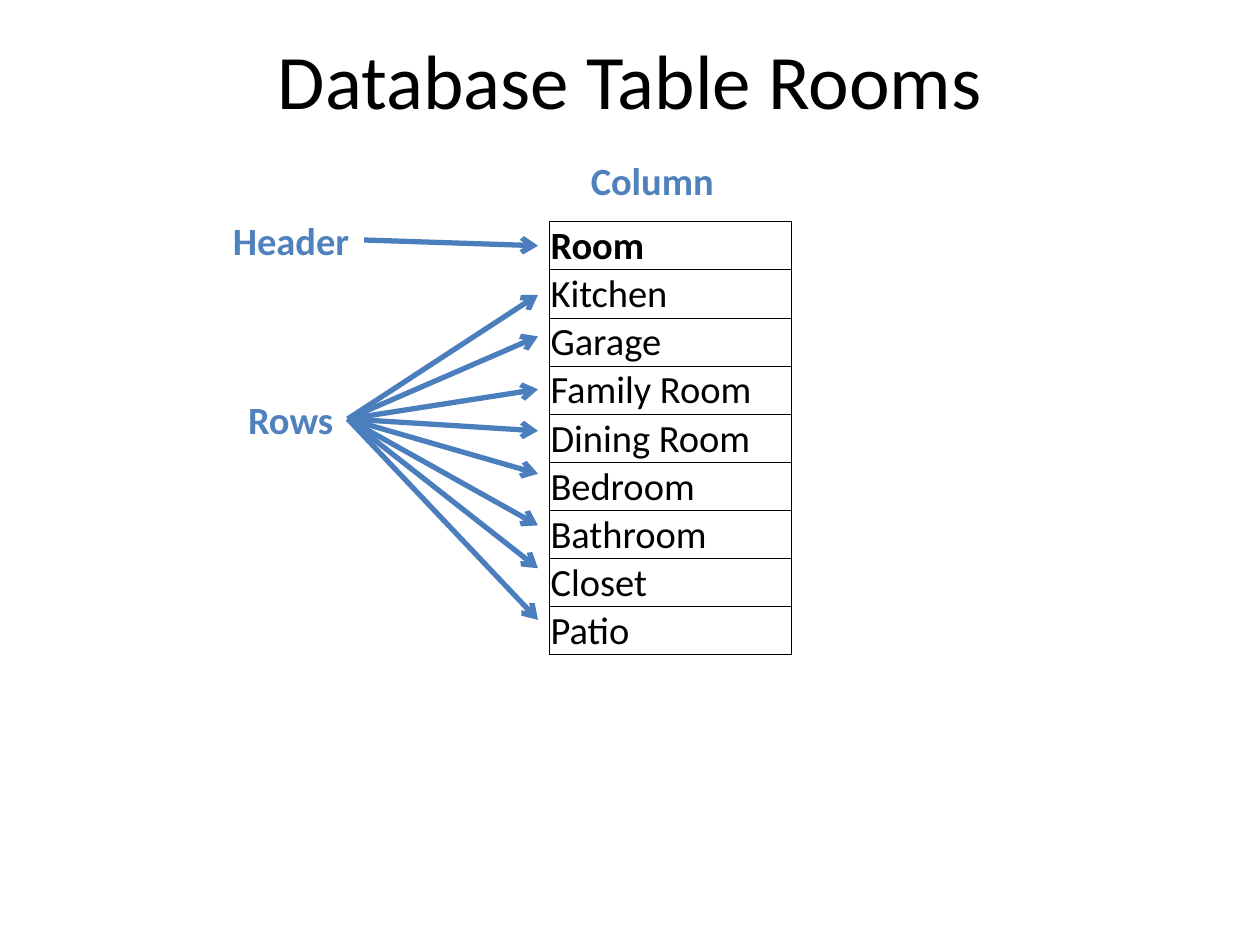
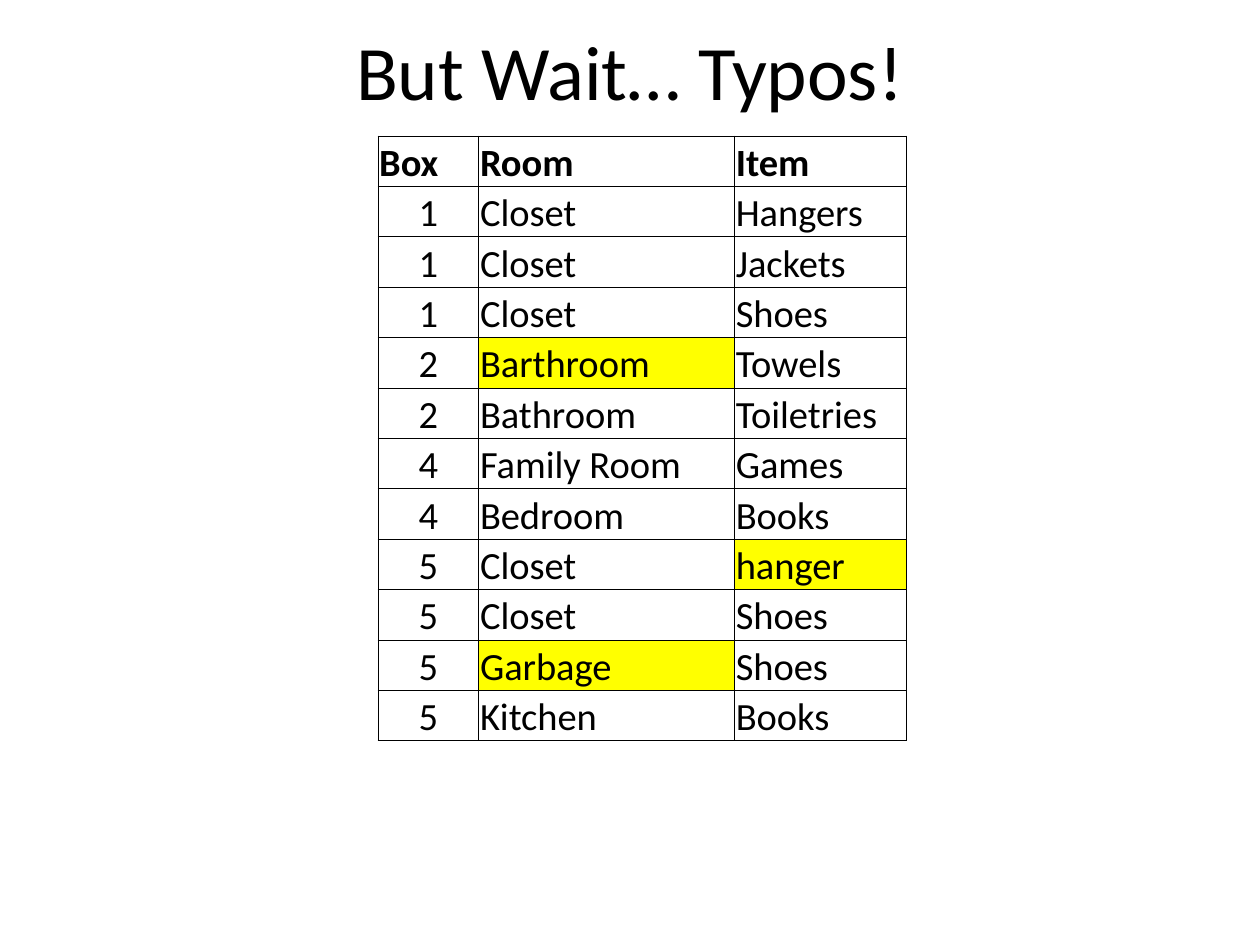
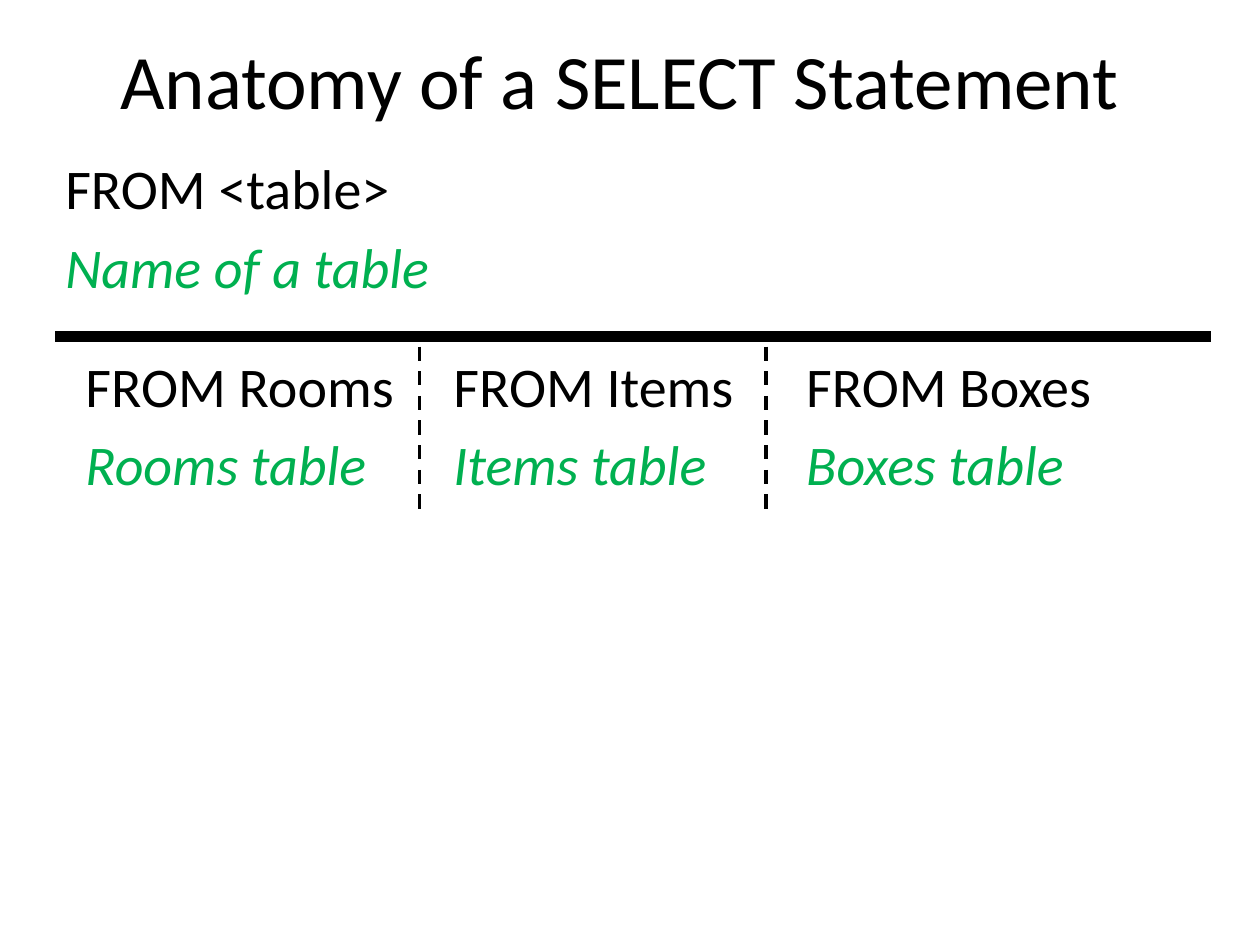
from dataclasses import dataclass

import pptx
import pptx.dml.color
import pptx.enum.dml
import pptx.enum.shapes
import pptx.enum.text
import pptx.oxml
import pptx.oxml.ns
import pptx.util
from pptx.util import Inches, Pt

DRAWING_NS = pptx.oxml.ns.nsdecls("a")
RIGHT_SIDE = 3


@dataclass(frozen=True)
class Theme:
    font: str = "Calibri"
    ink: str = "000000"
    paper: str = "FFFFFF"
    label: str = "4F81BD"
    arrow: str = "4B7EBC"
    explanation: str = "00B050"
    typo: str = "FFFF00"
    title_size: float = 44
    statement_size: float = 32
    table_size: float = 22
    paragraph_gap: float = 6.4
    border_width: float = 0.5
    arrow_width: float = 3


def rgb(color):
    return pptx.dml.color.RGBColor.from_string(color)


class Deck:
    def __init__(self, theme):
        self.theme = theme
        self.presentation = pptx.Presentation()
        self.presentation.slide_width = Inches(10)
        self.presentation.slide_height = Inches(7.5)
        self.slide = None

    def style(self, paragraph, size, color=None, bold=False, italic=False):
        for run in paragraph.runs:
            font = run.font
            font.name = self.theme.font
            font.size = Pt(size)
            font.bold, font.italic = bold, italic
            font.color.rgb = rgb(color or self.theme.ink)

    def new_slide(self, heading, left=0.5, top=0, height=1.25):
        title_only = self.presentation.slide_layouts[5]
        self.slide = self.presentation.slides.add_slide(title_only)
        title = self.slide.shapes.title
        title.left, title.top = Inches(left), Inches(top)
        title.width, title.height = Inches(9), Inches(height)
        frame = title.text_frame
        frame.text = heading
        frame.vertical_anchor = pptx.enum.text.MSO_ANCHOR.MIDDLE
        frame.paragraphs[0].alignment = pptx.enum.text.PP_ALIGN.CENTER
        self.style(frame.paragraphs[0], self.theme.title_size)

    def text_box(self, left, top, width, height, text, wrap=True):
        box = self.slide.shapes.add_textbox(
            Inches(left), Inches(top), Inches(width), Inches(height))
        box.text_frame.word_wrap = wrap
        box.text_frame.text = text
        return box

    def label(self, text, left, top, width):
        box = self.text_box(left, top, width, 0.47, text, wrap=False)
        self.style(box.text_frame.paragraphs[0], self.theme.table_size,
                   self.theme.label, bold=True)
        return box

    def statement(self, code, explanation, left, top, width):
        box = self.text_box(left, top, width, 1.42, f"{code}\n{explanation}")
        code_line, explanation_line = box.text_frame.paragraphs
        self.style(code_line, self.theme.statement_size)
        self.style(explanation_line, self.theme.statement_size,
                   self.theme.explanation, italic=True)
        explanation_line.space_before = Pt(self.theme.paragraph_gap)

    def line(self, start, end, color, width, dashed=False):
        connector = self.slide.shapes.add_connector(
            pptx.enum.shapes.MSO_CONNECTOR.STRAIGHT,
            *(Inches(length) for length in (*start, *end)))
        connector.line.color.rgb = rgb(color)
        connector.line.width = Pt(width)
        if dashed:
            connector.line.dash_style = pptx.enum.dml.MSO_LINE.DASH
        connector._element.spPr.append(
            pptx.oxml.parse_xml(f"<a:effectLst {DRAWING_NS}/>"))
        return connector

    def arrow_from(self, source, end):
        """Draw an arrow from the right side of a label to a point."""
        arrow = self.line((0, 0), end, self.theme.arrow, self.theme.arrow_width)
        arrow.begin_connect(source, RIGHT_SIDE)
        arrow.line._get_or_add_ln().append(
            pptx.oxml.parse_xml(f'<a:tailEnd {DRAWING_NS} type="arrow"/>'))

    def border(self, cell):
        properties = cell._tc.get_or_add_tcPr()
        for side in ("lnL", "lnR", "lnT", "lnB"):
            properties.append(pptx.oxml.parse_xml(
                f'<a:{side} {DRAWING_NS} w="{Pt(self.theme.border_width)}">'
                f'<a:solidFill><a:srgbClr val="{self.theme.ink}"/></a:solidFill>'
                f'</a:{side}>'))

    def table(self, left, top, column_widths, row_height, rows,
              typos=(), centered_columns=()):
        """Draw a ruled table whose first row is its header."""
        grid = self.slide.shapes.add_table(
            len(rows), len(column_widths), Inches(left), Inches(top),
            Inches(sum(column_widths)), Inches(row_height * len(rows))).table
        grid.first_row = grid.horz_banding = False
        for column, width in zip(grid.columns, column_widths):
            column.width = Inches(width)
        for r, values in enumerate(rows):
            grid.rows[r].height = Inches(row_height)
            for c, value in enumerate(values):
                cell = grid.cell(r, c)
                cell.text = value
                cell.vertical_anchor = pptx.enum.text.MSO_ANCHOR.BOTTOM
                cell.margin_left = cell.margin_right = Inches(0.01)
                cell.margin_top, cell.margin_bottom = Inches(0.01), 0
                self.border(cell)
                cell.fill.solid()
                cell.fill.fore_color.rgb = rgb(
                    self.theme.typo if value in typos else self.theme.paper)
                paragraph = cell.text_frame.paragraphs[0]
                if r > 0 and c in centered_columns:
                    paragraph.alignment = pptx.enum.text.PP_ALIGN.CENTER
                self.style(paragraph, self.theme.table_size, bold=r == 0)


def rooms_slide(deck):
    deck.new_slide("Database Table Rooms")
    rooms = ("Room", "Kitchen", "Garage", "Family Room", "Dining Room",
             "Bedroom", "Bathroom", "Closet", "Patio")
    deck.table(4.36, 1.76, [1.92], 0.38, [(room,) for room in rooms])
    deck.label("Column", 4.59, 1.2, 1.19)
    header = deck.label("Header", 1.75, 1.67, 1.14)
    rows = deck.label("Rows", 1.87, 3.09, 0.89)
    deck.arrow_from(header, (4.27, 1.95))
    for row_y in (2.34, 2.67, 3.09, 3.42, 3.76, 4.17, 4.51, 4.92):
        deck.arrow_from(rows, (4.27, row_y))


def typos_slide(deck):
    deck.new_slide("But Wait… Typos!", top=0.02, height=1.06)
    packing_list = [
        ("Box", "Room", "Item"),
        ("1", "Closet", "Hangers"),
        ("1", "Closet", "Jackets"),
        ("1", "Closet", "Shoes"),
        ("2", "Barthroom", "Towels"),
        ("2", "Bathroom", "Toiletries"),
        ("4", "Family Room", "Games"),
        ("4", "Bedroom", "Books"),
        ("5", "Closet", "hanger"),
        ("5", "Closet", "Shoes"),
        ("5", "Garbage", "Shoes"),
        ("5", "Kitchen", "Books"),
    ]
    deck.table(3, 1.08, [0.8, 2.03, 1.36], 0.4, packing_list,
               typos=("Barthroom", "hanger", "Garbage"), centered_columns=(0,))


def select_slide(deck):
    deck.new_slide("Anatomy of a SELECT Statement", left=0.42)
    deck.statement("FROM <table>", "Name of a table", 0.42, 1.17, 9)
    for table_name, left in (("Rooms", 0.58), ("Items", 3.5), ("Boxes", 6.3)):
        deck.statement(f"FROM {table_name}", f"{table_name} table",
                       left, 2.74, 3.25)
    for divider_x in (3.33, 6.08):
        deck.line((divider_x, 2.75), (divider_x, 4.08), deck.theme.ink, 2,
                  dashed=True)
    deck.line((0.44, 2.67), (9.61, 2.67), deck.theme.ink, 6)


def main():
    deck = Deck(Theme())
    rooms_slide(deck)
    typos_slide(deck)
    select_slide(deck)
    deck.presentation.save("out.pptx")


if __name__ == "__main__":
    main()
